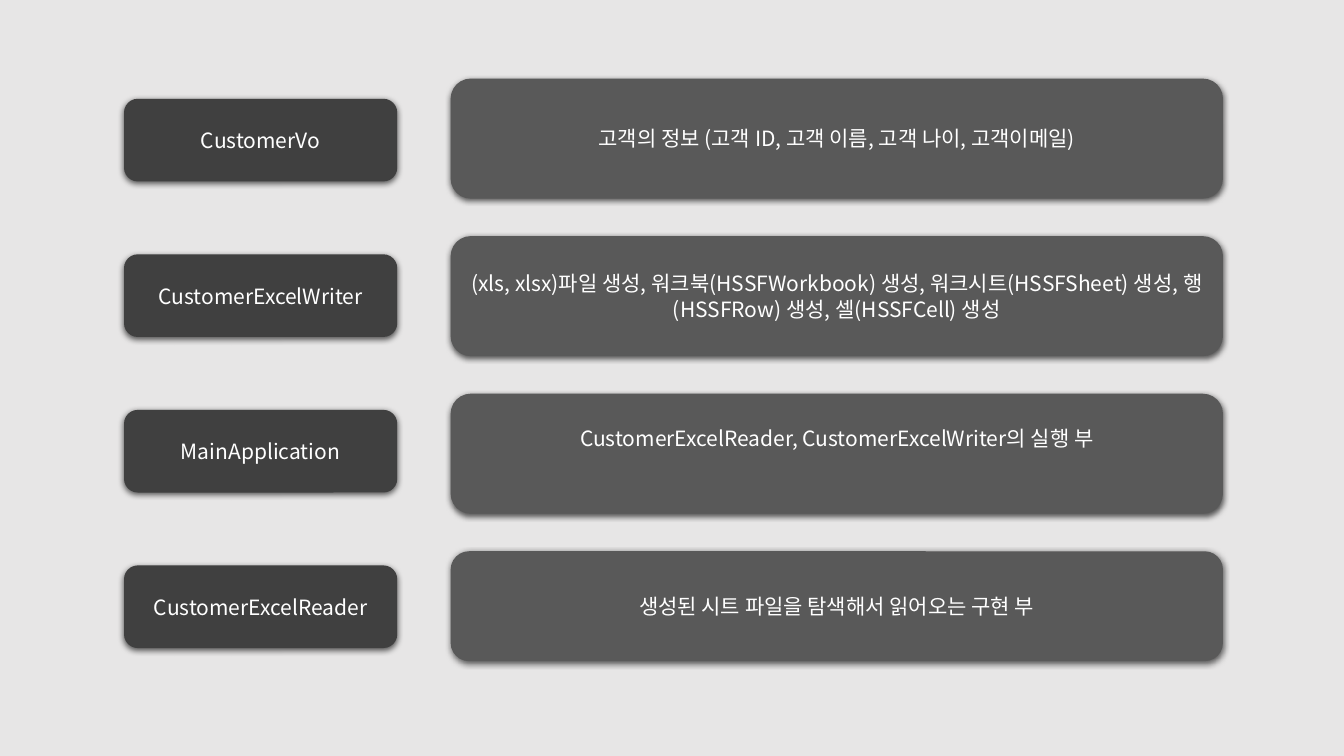
"""Build a slide that pairs each class name with its responsibility."""
from lxml import etree
from pptx import Presentation
from pptx import util as u
from pptx.dml.color import RGBColor
from pptx.enum import shapes, text
from pptx.oxml import parse_xml
from pptx.oxml.ns import nsdecls, qn

BACKGROUND = RGBColor(0xE7, 0xE6, 0xE6)
NAME_FILL = RGBColor(0x40, 0x40, 0x40)
ROLE_FILL = RGBColor(0x59, 0x59, 0x59)
WHITE = RGBColor(0xFF, 0xFF, 0xFF)
FONT = "Noto Sans CJK KR"

NAME_LEFT, NAME_TOP, NAME_WIDTH, NAME_HEIGHT, NAME_PITCH = 1.23, 0.98, 2.71, 0.82, 1.543
ROLE_LEFT, ROLE_TOP, ROLE_WIDTH, ROLE_PITCH = 4.47, 0.78, 7.66, 1.563
ROLE_HEIGHT, LAST_ROLE_HEIGHT = 1.19, 1.09
INSET, RAISED_INSET = 0.05, 0.35

CLASSES = [
    ("CustomerVo", "고객의 정보 (고객 ID, 고객 이름, 고객 나이, 고객이메일)",
     ROLE_HEIGHT, INSET),
    ("CustomerExcelWriter",
     "(xls, xlsx)파일 생성, 워크북(HSSFWorkbook) 생성, 워크시트(HSSFSheet) 생성, "
     "행(HSSFRow) 생성, 셀(HSSFCell) 생성", ROLE_HEIGHT, INSET),
    ("MainApplication", "CustomerExcelReader, CustomerExcelWriter의 실행 부",
     ROLE_HEIGHT, RAISED_INSET),
    ("CustomerExcelReader", "생성된 시트 파일을 탐색해서 읽어오는 구현 부",
     LAST_ROLE_HEIGHT, INSET),
]


def add_soft_shadow(shape):
    """Give the shape a soft shadow that falls straight down."""
    shape.shadow.inherit = False
    effects = shape._element.spPr.find(qn("a:effectLst"))
    effects.append(parse_xml(
        f'<a:outerShdw {nsdecls("a")} blurRad="{u.Pt(4.5)}" dist="{u.Pt(1.5)}" '
        'dir="5400000" algn="ctr" rotWithShape="0"><a:srgbClr val="000000">'
        '<a:alpha val="63000"/></a:srgbClr></a:outerShdw>'))


def write_label(shape, label, bottom_inset):
    """Write one centred white paragraph in the shape."""
    frame = shape.text_frame
    frame.word_wrap = True
    frame.vertical_anchor = text.MSO_ANCHOR.MIDDLE
    frame.margin_bottom = u.Inches(bottom_inset)
    paragraph = frame.paragraphs[0]
    paragraph.text = label
    paragraph.alignment = text.PP_ALIGN.CENTER
    paragraph.font.size = u.Pt(15)
    paragraph.font.color.rgb = WHITE
    paragraph.font.name = FONT
    properties = paragraph._p.pPr.find(qn("a:defRPr"))
    etree.SubElement(properties, qn("a:ea")).set("typeface", FONT)


def add_card(slide, box, color, label, bottom_inset=INSET):
    """Add a rounded, shadowed card with a label."""
    shape = slide.shapes.add_shape(
        shapes.MSO_SHAPE.ROUNDED_RECTANGLE, *(u.Inches(length) for length in box))
    shape.fill.solid()
    shape.fill.fore_color.rgb = color
    shape.line.fill.background()
    add_soft_shadow(shape)
    write_label(shape, label, bottom_inset)


def main():
    """Build and save the presentation."""
    presentation = Presentation()
    presentation.slide_width = u.Inches(13.33)
    presentation.slide_height = u.Inches(7.5)
    slide = presentation.slides.add_slide(presentation.slide_layouts[6])
    slide.background.fill.solid()
    slide.background.fill.fore_color.rgb = BACKGROUND
    for row, (name, role, role_height, bottom_inset) in enumerate(CLASSES):
        name_box = (NAME_LEFT, NAME_TOP + row * NAME_PITCH, NAME_WIDTH, NAME_HEIGHT)
        role_box = (ROLE_LEFT, ROLE_TOP + row * ROLE_PITCH, ROLE_WIDTH, role_height)
        add_card(slide, name_box, NAME_FILL, name)
        add_card(slide, role_box, ROLE_FILL, role, bottom_inset)
    presentation.save("out.pptx")


if __name__ == "__main__":
    main()
